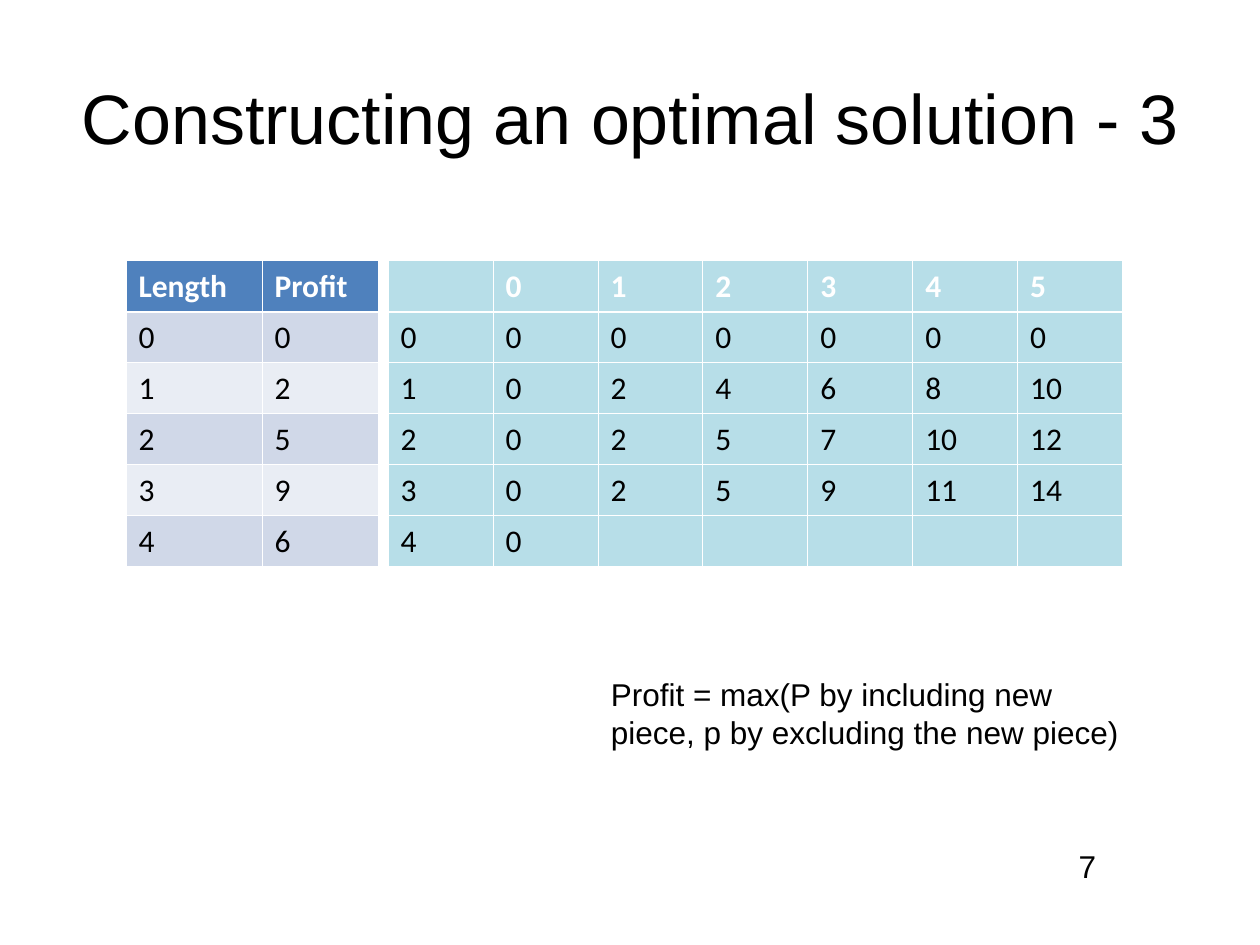
from dataclasses import dataclass

from lxml.etree import SubElement
from pptx import Presentation
from pptx.dml.color import RGBColor
from pptx.enum.text import MSO_ANCHOR, MSO_AUTO_SIZE, PP_ALIGN
from pptx.oxml.ns import qn
from pptx.util import Inches, Pt


@dataclass(frozen=True)
class Theme:
    head: str = "Arial"
    cell: str = "Calibri"
    large: int = 40
    body: int = 18
    black: str = "000000"
    white: str = "FFFFFF"
    blue: str = "4F81BD"
    bands: tuple = ("D0D8E8", "E9EDF4")
    aqua: str = "B7DEE8"
    thin: float = 0.45
    thick: float = 1.47


def apply(target, values):
    for name, value in values.items():
        setattr(target, name, value)


class Deck:
    def __init__(self, theme):
        self.theme = theme
        self.show = Presentation()
        apply(self.show, {"slide_width": Inches(10), "slide_height": Inches(7.5)})
        self.slide = self.show.slides.add_slide(self.show.slide_layouts[6])

    def add_words(self, para, words, color, **style):
        run = para.add_run()
        run.text = words
        apply(run.font, {"size": Pt(self.theme.body), **style})
        run.font.color.rgb = RGBColor.from_string(color)

    def text(self, box, words, size, align=PP_ALIGN.LEFT, **frame):
        shape = self.slide.shapes.add_textbox(*map(Inches, box))
        apply(shape.text_frame, {"word_wrap": True, **frame})
        para = shape.text_frame.paragraphs[0]
        para.alignment = align
        self.add_words(para, words, self.theme.black, name=self.theme.head, size=Pt(size))

    def border(self, cell, row):
        """Draw white cell edges, thicker between the header and the body."""
        props = cell._tc.get_or_add_tcPr()
        for side in "LRTB":
            bold = (row, side) in ((0, "B"), (1, "T"))
            width = self.theme.thick if bold else self.theme.thin
            line = SubElement(props, qn(f"a:ln{side}"), w=str(Pt(width)))
            fill = SubElement(line, qn("a:solidFill"))
            SubElement(fill, qn("a:srgbClr"), val=self.theme.white)

    def table(self, left, top, widths, height, rows, header, bands):
        frame = self.slide.shapes.add_table(
            len(rows), len(widths), Inches(left), Inches(top),
            Inches(sum(widths)), Inches(height))
        grid = frame.table
        for col, width in zip(grid.columns, widths):
            col.width = Inches(width)
        for r, values in enumerate(rows):
            fill = bands[(r - 1) % len(bands)] if r else header
            color = self.theme.black if r else self.theme.white
            for c, value in enumerate(values):
                cell = grid.cell(r, c)
                self.border(cell, r)
                cell.fill.solid()
                cell.fill.fore_color.rgb = RGBColor.from_string(fill)
                cell.vertical_anchor = MSO_ANCHOR.MIDDLE
                if value != "":
                    self.add_words(cell.text_frame.paragraphs[0], str(value), color,
                                   name=self.theme.cell, bold=r == 0)


def main():
    theme = Theme()
    deck = Deck(theme)
    top, height = 2.07, 2.43
    grow = {"auto_size": MSO_AUTO_SIZE.SHAPE_TO_FIT_TEXT}

    deck.text((7.92, 6.67, 1.42, 0.4), "7", theme.body, PP_ALIGN.CENTER, **grow)
    deck.text((0.5, 0.3, 9, 1.25), "Constructing an optimal solution - 3",
              theme.large, PP_ALIGN.CENTER, vertical_anchor=MSO_ANCHOR.MIDDLE)

    best = [
        ["", 0, 1, 2, 3, 4, 5],
        [0, 0, 0, 0, 0, 0, 0],
        [1, 0, 2, 4, 6, 8, 10],
        [2, 0, 2, 5, 7, 10, 12],
        [3, 0, 2, 5, 9, 11, 14],
        [4, 0, "", "", "", "", ""],
    ]
    deck.table(3.08, top, [5.83 / 7] * 7, height, best, theme.aqua, (theme.aqua,))

    deck.text((4.75, 5.31, 4.42, 0.7),
              "Profit = max(P by including new piece, p by excluding the new piece)",
              theme.body, **grow)

    prices = [["Length", "Profit"], *enumerate([0, 2, 5, 9, 6])]
    deck.table(1, top, [1.08, 0.92], height, prices, theme.blue, theme.bands)

    deck.show.save("out.pptx")


if __name__ == "__main__":
    main()
